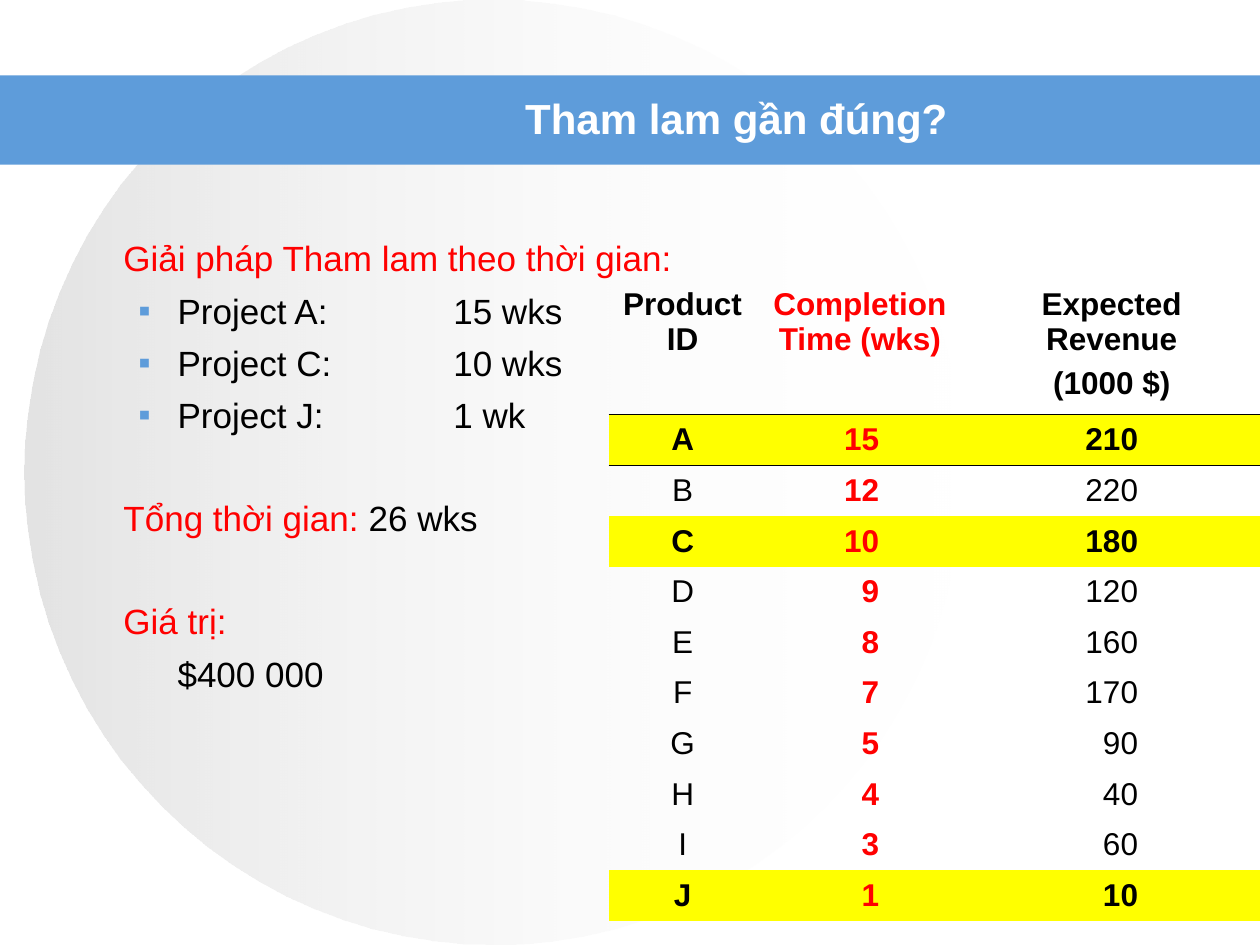
from lxml.etree import SubElement
from pptx import Presentation
from pptx.dml.color import RGBColor
from pptx.enum.shapes import MSO_SHAPE
from pptx.enum.text import MSO_ANCHOR, MSO_AUTO_SIZE, PP_ALIGN
from pptx.oxml import parse_xml
from pptx.oxml.ns import nsdecls, qn
from pptx.util import Cm, Pt

COLORS = {
    "black": "000000",
    "white": "FFFFFF",
    "red": "FF0000",
    "blue": "5E9CDA",
    "yellow": "FFFF00",
    "gray": "C0C0C0",
}
NO_GRID_STYLE = "{2D5ABB26-0587-4C30-8999-92F81FD0307C}"
HEADERS = [["Product ID"], ["Completion Time (wks)"], ["Expected Revenue", "(1000 $)"]]
PROJECTS = [
    ("A", 15, 210), ("B", 12, 220), ("C", 10, 180), ("D", 9, 120), ("E", 8, 160),
    ("F", 7, 170), ("G", 5, 90), ("H", 4, 40), ("I", 3, 60), ("J", 1, 10),
]
CHOSEN = "ACJ"


def rgb(name):
    return RGBColor.from_string(COLORS[name])


def add_text(paragraph, text, size=20, color="black", bold=False, align=None, before=0):
    paragraph.alignment = align
    paragraph.space_before = Pt(before)
    run = paragraph.add_run()
    run.text = text
    run.font.name = "Arial"
    run.font.size = Pt(size)
    run.font.bold = bold
    run.font.color.rgb = rgb(color)


def add_plain_shape(slide, kind, left, top, width, height):
    shape = slide.shapes.add_shape(kind, Cm(left), Cm(top), Cm(width), Cm(height))
    shape.shadow.inherit = False
    shape.line.fill.background()
    return shape


def add_background(slide):
    circle = add_plain_shape(slide, MSO_SHAPE.OVAL, 0.5, 0, 18.9, 19.05)
    circle.fill.gradient()
    circle.fill.gradient_angle = 0
    for stop, color, opacity in zip(circle.fill.gradient_stops, ("gray", "white"), (44, 0)):
        stop.color.rgb = rgb(color)
    fill_colors = circle.element.spPr.iter(qn("a:srgbClr"))
    for element, opacity in zip(list(fill_colors), (44, 0)):
        SubElement(element, qn("a:alpha"), val=str(opacity * 1000))
    band = add_plain_shape(slide, MSO_SHAPE.RECTANGLE, 0, 1.52, 25.4, 1.8)
    band.fill.solid()
    band.fill.fore_color.rgb = rgb("blue")


def format_title(slide, text):
    title = slide.shapes.title
    slide.shapes.element.append(title.element)
    title.left, title.top, title.width, title.height = Cm(4.37), Cm(1.7), Cm(20.95), Cm(1.35)
    frame = title.text_frame
    frame.auto_size = MSO_AUTO_SIZE.NONE
    frame.vertical_anchor = MSO_ANCHOR.MIDDLE
    add_text(frame.paragraphs[0], text, size=24, color="white", bold=True, align=PP_ALIGN.CENTER)


def indent(paragraph, left, hanging=0, bullet=None, tab=None):
    properties = paragraph._p.get_or_add_pPr()
    properties.set("marL", str(Cm(left)))
    properties.set("indent", str(-Cm(hanging)))
    if bullet:
        color = SubElement(properties, qn("a:buClr"))
        SubElement(color, qn("a:srgbClr"), val=COLORS["blue"])
        SubElement(properties, qn("a:buFont"), typeface="Arial")
        SubElement(properties, qn("a:buChar"), char=bullet)
    if tab:
        tabs = SubElement(properties, qn("a:tabLst"))
        SubElement(tabs, qn("a:tab"), pos=str(Cm(tab)), algn="l")


def add_solution(slide):
    frame = slide.shapes.add_textbox(Cm(1.27), Cm(4.65), Cm(22.96), Cm(12.9)).text_frame
    frame.word_wrap = True
    heading = frame.paragraphs[0]
    add_text(heading, "Giải pháp Tham lam theo thời gian:", color="red", before=2)
    indent(heading, 0.97)
    for text in ("Project A:\t15 wks", "Project C:\t10 wks", "Project J:\t1 wk"):
        project = frame.add_paragraph()
        add_text(project, text, before=5.8)
        indent(project, 2.06, hanging=0.79, bullet="▪", tab=7.62)
    total = frame.add_paragraph()
    add_text(total, "Tổng thời gian: ", color="red", before=35)
    add_text(total, "26 wks", before=35)
    indent(total, 0.97)
    value = frame.add_paragraph()
    add_text(value, "Giá trị:", color="red", before=35)
    indent(value, 0.97)
    amount = frame.add_paragraph()
    add_text(amount, "$400 000", before=5.8)
    indent(amount, 2.06)


def add_border(cell, side):
    border = parse_xml(
        f'<a:{side} {nsdecls("a")} w="5715"><a:solidFill>'
        f'<a:srgbClr val="{COLORS["black"]}"/></a:solidFill></a:{side}>'
    )
    cell._tc.get_or_add_tcPr().insert(0, border)


def fill_header(cell, lines, color):
    cell.fill.background()
    add_border(cell, "lnB")
    for index, line in enumerate(lines):
        paragraph = cell.text_frame.add_paragraph() if index else cell.text_frame.paragraphs[0]
        add_text(paragraph, line, size=18, color=color, bold=True,
                 align=PP_ALIGN.CENTER, before=4.5 * index)


def fill_value(cell, value, color, bold, highlighted, align, right_margin):
    if highlighted:
        cell.fill.solid()
        cell.fill.fore_color.rgb = rgb("yellow")
    else:
        cell.fill.background()
    cell.vertical_anchor = MSO_ANCHOR.MIDDLE
    cell.margin_top = cell.margin_bottom = 0
    cell.margin_right = Cm(right_margin)
    add_text(cell.text_frame.paragraphs[0], str(value), size=18, color=color,
             bold=bold, align=align)


def add_project_table(slide):
    frame = slide.shapes.add_table(len(PROJECTS) + 1, len(HEADERS),
                                   Cm(12.27), Cm(5.66), Cm(13.13), Cm(12.86))
    table = frame.table
    table._tbl.tblPr.find(qn("a:tableStyleId")).text = NO_GRID_STYLE
    table.first_row = table.horz_banding = False
    for column, width in zip(table.columns, (2.98, 4.17, 5.98)):
        column.width = Cm(width)
    for index, row in enumerate(table.rows):
        row.height = Cm(1.02 if index else 2.7)
    colors = ("black", "red", "black")
    aligns = (PP_ALIGN.CENTER, PP_ALIGN.RIGHT, PP_ALIGN.RIGHT)
    margins = (0.25, 1.7, 2.46)
    for column, (lines, color) in enumerate(zip(HEADERS, colors)):
        fill_header(table.cell(0, column), lines, color)
        add_border(table.cell(1, column), "lnT")
    for row, project in enumerate(PROJECTS, start=1):
        chosen = project[0] in CHOSEN
        for column, value in enumerate(project):
            color = colors[column]
            fill_value(table.cell(row, column), value, color, chosen or color == "red",
                       chosen, aligns[column], margins[column])


def main():
    presentation = Presentation()
    presentation.slide_width = Cm(25.4)
    presentation.slide_height = Cm(19.05)
    slide = presentation.slides.add_slide(presentation.slide_layouts[5])
    add_background(slide)
    format_title(slide, "Tham lam gần đúng?")
    add_solution(slide)
    add_project_table(slide)
    presentation.save("out.pptx")


if __name__ == "__main__":
    main()
